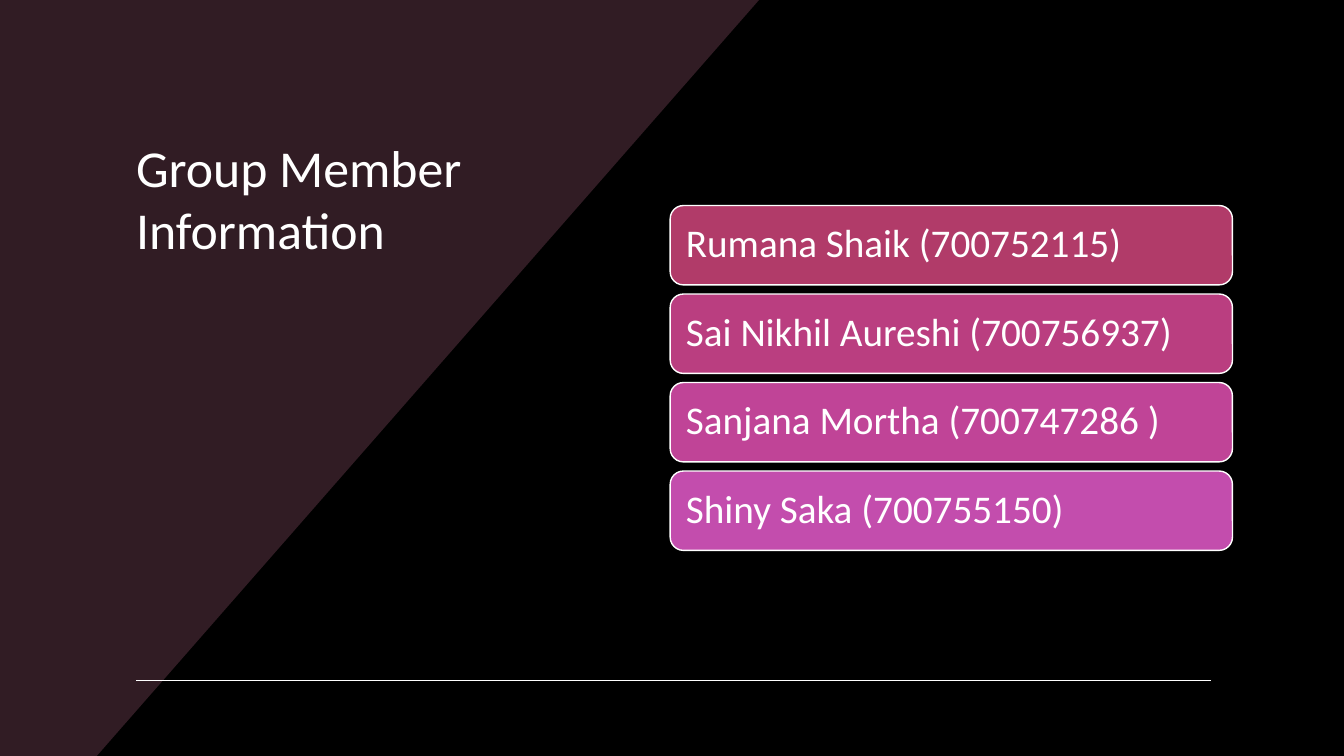
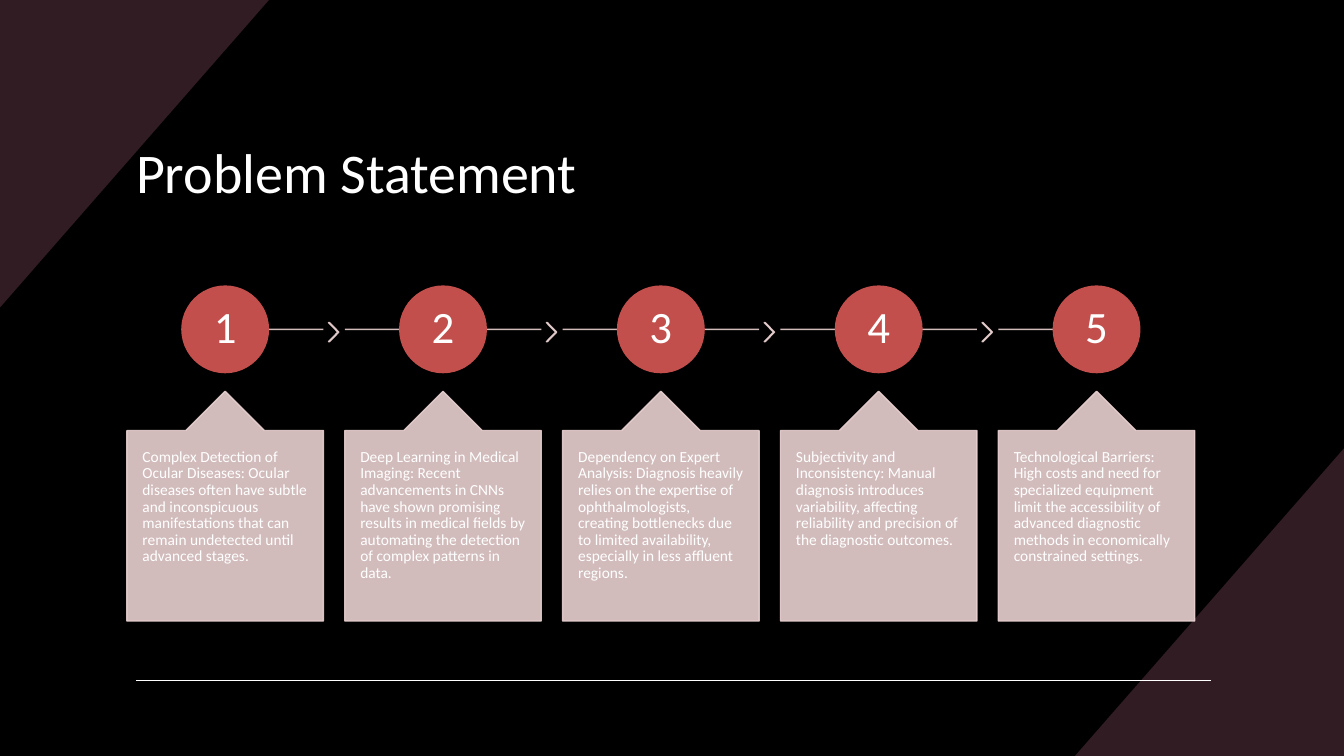
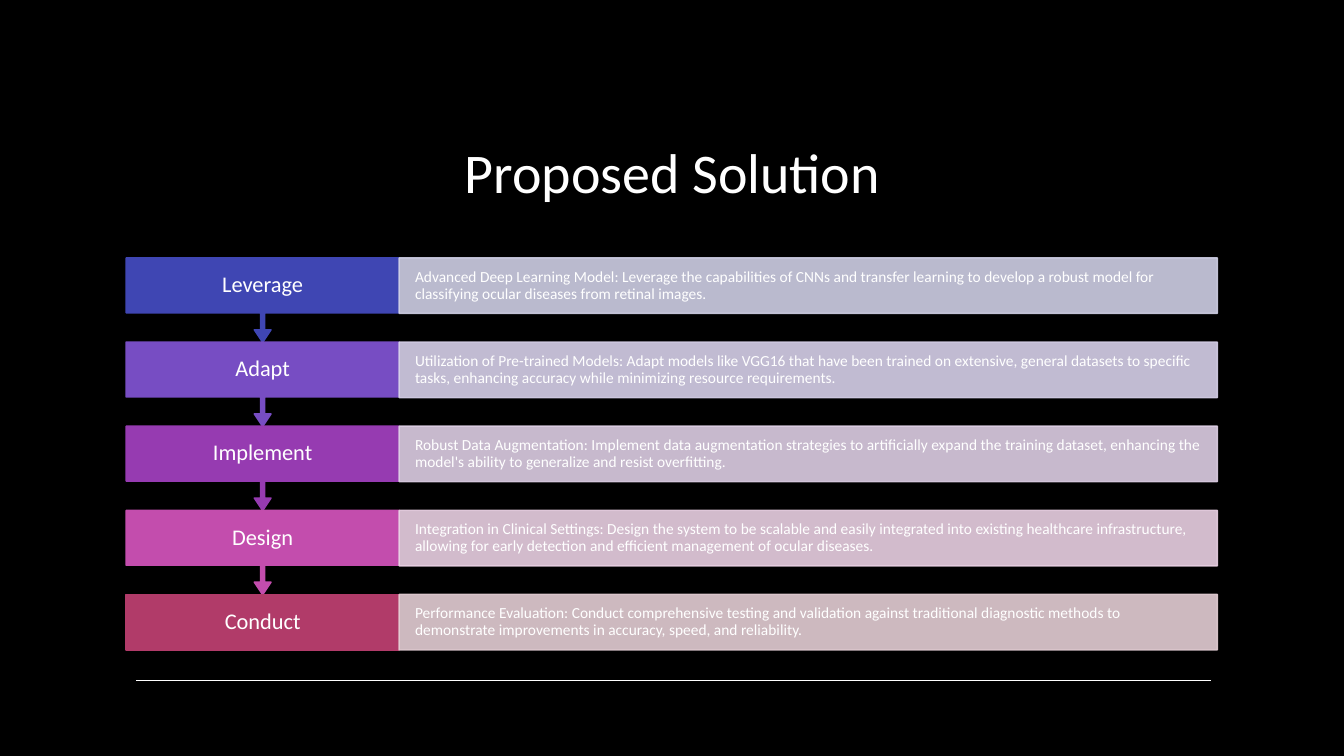
from pptx import Presentation
from pptx.dml.color import RGBColor
from pptx.enum.shapes import MSO_CONNECTOR, MSO_SHAPE
from pptx.enum.text import MSO_ANCHOR, PP_ALIGN
from pptx.oxml.ns import qn
from pptx.util import Cm, Pt
from lxml import etree

STRAIGHT = MSO_CONNECTOR.STRAIGHT
RECTANGLE = MSO_SHAPE.RECTANGLE
ROUNDED = MSO_SHAPE.ROUNDED_RECTANGLE
OVAL = MSO_SHAPE.OVAL
CHEVRON = MSO_SHAPE.CHEVRON
UP_CALLOUT = MSO_SHAPE.UP_ARROW_CALLOUT
DOWN_CALLOUT = MSO_SHAPE.DOWN_ARROW_CALLOUT
TOP, MIDDLE, BOTTOM = MSO_ANCHOR.TOP, MSO_ANCHOR.MIDDLE, MSO_ANCHOR.BOTTOM
LEFT, CENTER = PP_ALIGN.LEFT, PP_ALIGN.CENTER

WIDTH, HEIGHT = 33.87, 19.05
FONT = "Calibri"
COLORS = {
    "black": "000000", "white": "FFFFFF", "wine": "311C24",
    "red": "C34F4D", "rose": "E9D0D0",
    "crimson": "B13B69", "raspberry": "BA3E80", "magenta": "C04497",
    "orchid": "C34DAD", "purple": "963BB1", "violet": "774DC3", "blue": "3F46B3",
    "pale crimson": "E4CED4", "pale orchid": "E9D0E3", "pale purple": "DDCEE4",
    "pale violet": "D6D0E9", "pale blue": "CFCFE5",
}

MEMBERS = [
    ("Rumana Shaik (700752115)", "crimson"),
    ("Sai Nikhil Aureshi (700756937)", "raspberry"),
    ("Sanjana Mortha (700747286 )", "magenta"),
    ("Shiny Saka (700755150)", "orchid"),
]
PROBLEMS = [
    "Complex Detection of Ocular Diseases: Ocular diseases often have subtle and "
    "inconspicuous manifestations that can remain undetected until advanced stages.",
    "Deep Learning in Medical Imaging: Recent advancements in CNNs have shown promising "
    "results in medical fields by automating the detection of complex patterns in data.",
    "Dependency on Expert Analysis: Diagnosis heavily relies on the expertise of "
    "ophthalmologists, creating bottlenecks due to limited availability, especially in "
    "less affluent regions.",
    "Subjectivity and Inconsistency: Manual diagnosis introduces variability, affecting "
    "reliability and precision of the diagnostic outcomes.",
    "Technological Barriers: High costs and need for specialized equipment limit the "
    "accessibility of advanced diagnostic methods in economically constrained settings.",
]
STEPS = [
    ("Leverage", "blue",
     "Advanced Deep Learning Model: Leverage the capabilities of CNNs and transfer "
     "learning to develop a robust model for classifying ocular diseases from retinal "
     "images."),
    ("Adapt", "violet",
     "Utilization of Pre-trained Models: Adapt models like VGG16 that have been trained "
     "on extensive, general datasets to specific tasks, enhancing accuracy while "
     "minimizing resource requirements."),
    ("Implement", "purple",
     "Robust Data Augmentation: Implement data augmentation strategies to artificially "
     "expand the training dataset, enhancing the model's ability to generalize and "
     "resist overfitting."),
    ("Design", "orchid",
     "Integration in Clinical Settings: Design the system to be scalable and easily "
     "integrated into existing healthcare infrastructure, allowing for early detection "
     "and efficient management of ocular diseases."),
    ("Conduct", "crimson",
     "Performance Evaluation: Conduct comprehensive testing and validation against "
     "traditional diagnostic methods to demonstrate improvements in accuracy, speed, "
     "and reliability."),
]


def color(name):
    return RGBColor.from_string(COLORS[name])


def make_translucent(shape):
    """Show every colour of the shape at 90 % opacity."""
    for node in shape.element.spPr.iter(qn("a:srgbClr")):
        etree.SubElement(node, qn("a:alpha"), val="90000")


class Deck:
    """The presentation, its style and the page being filled; lengths are in cm."""

    def __init__(self):
        self.presentation = Presentation()
        self.presentation.slide_width = Cm(WIDTH)
        self.presentation.slide_height = Cm(HEIGHT)
        self.page = None

    def new_page(self):
        self.page = self.presentation.slides.add_slide(self.presentation.slide_layouts[6])
        self.page.background.fill.solid()
        self.page.background.fill.fore_color.rgb = color("black")

    def put_text(self, box, text, size, align=LEFT, anchor=MIDDLE, insets=(0.25, 0.13),
                 spacing=0.9):
        frame = box.text_frame
        frame.word_wrap = True
        frame.vertical_anchor = anchor
        frame.margin_left = frame.margin_right = Cm(insets[0])
        frame.margin_top = frame.margin_bottom = Cm(insets[1])
        para = frame.paragraphs[0]
        para.text = text
        para.alignment = align
        para.line_spacing = spacing
        para.font.name = FONT
        para.font.size = Pt(size)
        para.font.color.rgb = color("white")

    def title(self, text, left, top, width, height, size=40, **style):
        box = self.page.shapes.add_textbox(Cm(left), Cm(top), Cm(width), Cm(height))
        self.put_text(box, text, size, spacing=1.0, **style)

    def shape(self, kind, left, top, width, height, fill, line=None,
              adjustments=(), translucent=False):
        shape = self.page.shapes.add_shape(kind, Cm(left), Cm(top), Cm(width), Cm(height))
        for index, value in enumerate(adjustments):
            shape.adjustments[index] = value
        shape.shadow.inherit = False
        shape.fill.solid()
        shape.fill.fore_color.rgb = color(fill)
        shape.line.color.rgb = color(line or fill)
        shape.line.width = Pt(1)
        if translucent:
            make_translucent(shape)
        return shape

    def wedge(self, *points):
        """Dark area with straight edges, without an outline."""
        corners = [(Cm(x), Cm(y)) for x, y in points]
        builder = self.page.shapes.build_freeform(*corners[0])
        builder.add_line_segments(corners[1:], close=True)
        shape = builder.convert_to_shape()
        shape.shadow.inherit = False
        shape.fill.solid()
        shape.fill.fore_color.rgb = color("wine")
        shape.line.fill.background()

    def line(self, start, end, y, name):
        line = self.page.shapes.add_connector(STRAIGHT, Cm(start), Cm(y), Cm(end), Cm(y))
        line.line.color.rgb = color(name)
        line.line.width = Pt(1)
        etree.SubElement(line.element.spPr, qn("a:effectLst"))
        return line

    def footer_line(self):
        self.line(3.43, 30.53, 17.15, "white")


def add_members(deck):
    deck.new_page()
    deck.wedge((0, 0), (19.13, 0), (2.44, HEIGHT), (0, HEIGHT))
    deck.title("Group Member Information", 3.18, 3.28, 9.8, 4.34, size=37, anchor=TOP)
    deck.footer_line()
    for index, (member, fill) in enumerate(MEMBERS):
        pill = deck.shape(ROUNDED, 16.89, 5.18 + 2.23 * index, 14.17, 2, fill, "white")
        deck.put_text(pill, member, 28, insets=(0.3, 0.3))


def add_problems(deck):
    deck.new_page()
    across, down = 6.78, 7.75
    deck.wedge((WIDTH, HEIGHT - down), (WIDTH, HEIGHT), (WIDTH - across, HEIGHT))
    deck.wedge((0, down), (0, 0), (across, 0))
    deck.footer_line()
    deck.title("Problem Statement", 3.18, 2.41, 27.5, 3.78)

    card_width, pitch, diameter, axis = 4.95, 5.49, 2.18, 8.3
    last = len(PROBLEMS) - 1
    for index, problem in enumerate(PROBLEMS):
        left = 3.2 + pitch * index
        middle, right = left + card_width / 2, left + card_width
        track = deck.line(middle if index == 0 else left,
                          middle if index == last else right, axis, "rose")
        make_translucent(track)
        if index < last:
            deck.shape(CHEVRON, left + 5.08, 8.13, 0.26, 0.48, "rose",
                       adjustments=[0.9], translucent=True)
        badge = deck.shape(OVAL, middle - diameter / 2, axis - diameter / 2,
                           diameter, diameter, "red")
        deck.put_text(badge, str(index + 1), 32, CENTER, insets=(0.08, 0.08))
        card = deck.shape(UP_CALLOUT, left, 9.86, card_width, 5.79, "rose",
                          adjustments=[0.5, 0.2, 0.2, 1], translucent=True)
        deck.put_text(card, problem, 11, anchor=TOP, insets=(0.39, 0.46))


def add_solution(deck):
    deck.new_page()
    deck.title("Proposed Solution", 4.88, 2.51, 24.13, 2.79, align=CENTER, anchor=BOTTOM)
    deck.footer_line()
    left, label_width, row_height = 3.18, 6.88, 1.4
    for index, (label, fill, detail) in enumerate(STEPS):
        top = 6.5 + 2.12 * index
        if index < len(STEPS) - 1:
            step = deck.shape(DOWN_CALLOUT, left, top, label_width, 2.13, fill,
                              adjustments=[0.05, 0.1, 0.15, 0.65])
        else:
            step = deck.shape(RECTANGLE, left, top, label_width, row_height, fill)
        deck.put_text(step, label, 16, CENTER, insets=(0.49, 0.3))
        bar = deck.shape(RECTANGLE, left + label_width, top, 20.62, row_height,
                         "pale " + fill, translucent=True)
        deck.put_text(bar, detail, 11, insets=(0.4, 0.38))


def main():
    deck = Deck()
    add_members(deck)
    add_problems(deck)
    add_solution(deck)
    deck.presentation.save("out.pptx")


if __name__ == "__main__":
    main()
